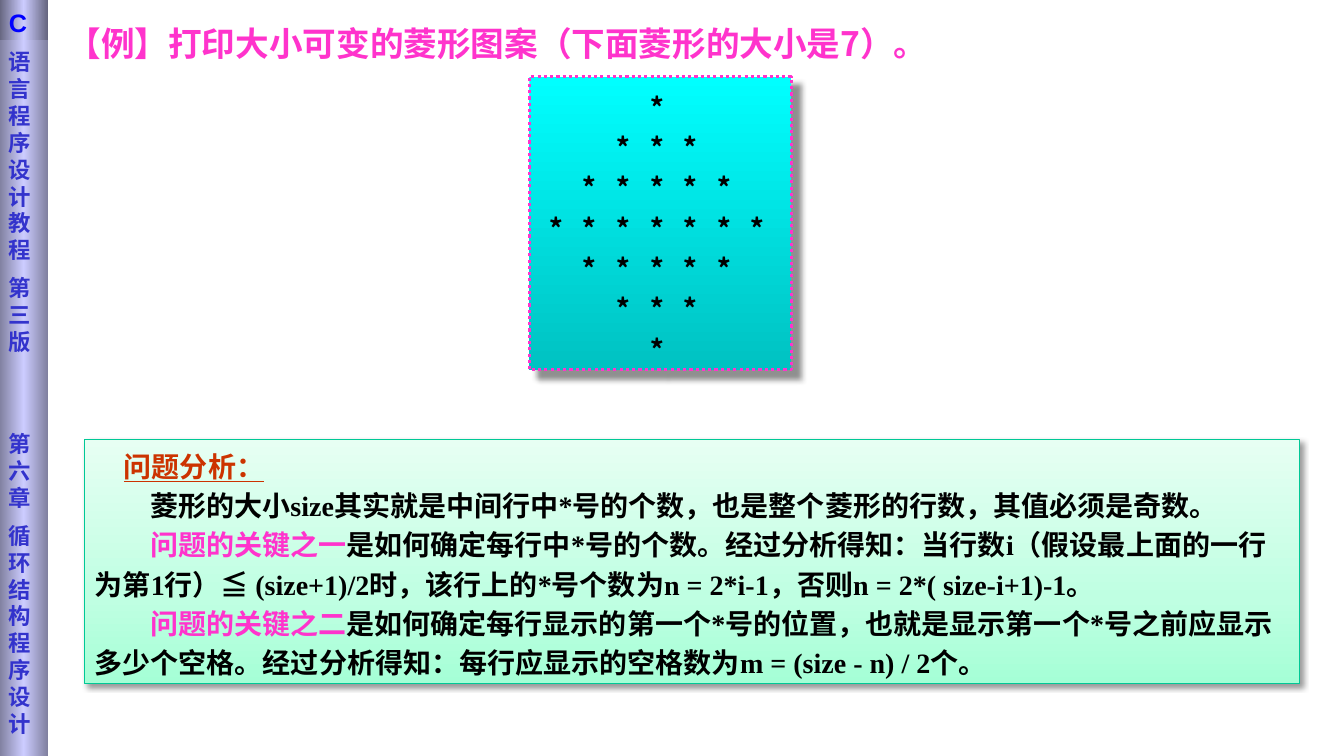
from dataclasses import dataclass

from lxml import etree
from pptx import Presentation
from pptx.dml.color import RGBColor
from pptx.enum.dml import MSO_LINE
from pptx.enum.shapes import MSO_SHAPE
from pptx.enum.text import MSO_ANCHOR, PP_ALIGN
from pptx.oxml.ns import qn
from pptx.util import Inches, Pt

RECTANGLE = MSO_SHAPE.RECTANGLE
DOTTED = MSO_LINE.ROUND_DOT
TOP, MIDDLE = MSO_ANCHOR.TOP, MSO_ANCHOR.MIDDLE
LEFT = PP_ALIGN.LEFT

CHINESE, SERIF, SANS = "Noto Sans CJK SC", "Times New Roman", "Arial"
BLACK, PINK, RUST = "000000", "FF33CC", "CC3300"
INDIGO, BLUE = "3333CC", "0000FF"
DIAMOND_SIZE = 7
STAR_POINTS = 24


@dataclass
class Shadow:
    opacity: int
    blur: float
    distance: float


@dataclass
class Panel:
    left: float
    top: float
    width: float
    height: float
    stops: list[tuple[int, str]]
    angle: int
    anchor: MSO_ANCHOR = TOP
    margin_top: float = 0.05
    shadow: Shadow | None = None
    line_color: str | None = None
    line_width: float = 0


@dataclass
class Span:
    text: str
    size: float
    color: str
    font: str = SERIF
    bold: bool = True
    underline: bool = False


@dataclass
class Line:
    spans: list[Span]
    spacing: float | None = None
    before: float = 0
    margin: float = 0
    indent: float = 0


def rgb(value: str) -> RGBColor:
    return RGBColor.from_string(value)


def add_color(parent, value: str):
    color = etree.SubElement(parent, qn("a:srgbClr"))
    color.set("val", value)
    return color


def set_gradient(shape, stops: list[tuple[int, str]], angle: int) -> None:
    gradient = etree.Element(qn("a:gradFill"))
    stop_list = etree.SubElement(gradient, qn("a:gsLst"))
    for position, value in stops:
        stop = etree.SubElement(stop_list, qn("a:gs"))
        stop.set("pos", str(position * 1000))
        add_color(stop, value)
    direction = etree.SubElement(gradient, qn("a:lin"))
    direction.set("ang", str(angle * 60000))
    direction.set("scaled", "0")
    shape._element.spPr.find(qn("a:prstGeom")).addnext(gradient)


def set_shadow(shape, shadow: Shadow) -> None:
    effects = shape._element.spPr.find(qn("a:effectLst"))
    outer = etree.SubElement(effects, qn("a:outerShdw"))
    outer.set("blurRad", str(Pt(shadow.blur)))
    outer.set("dist", str(Pt(shadow.distance)))
    outer.set("dir", str(45 * 60000))
    outer.set("algn", "tl")
    outer.set("rotWithShape", "0")
    alpha = etree.SubElement(add_color(outer, BLACK), qn("a:alpha"))
    alpha.set("val", str(shadow.opacity * 1000))


def add_panel(page, panel: Panel):
    shape = page.shapes.add_shape(
        RECTANGLE, Inches(panel.left), Inches(panel.top),
        Inches(panel.width), Inches(panel.height))
    shape.shadow.inherit = False
    set_gradient(shape, panel.stops, panel.angle)
    if panel.shadow:
        set_shadow(shape, panel.shadow)
    if panel.line_color:
        shape.line.color.rgb = rgb(panel.line_color)
        shape.line.width = Pt(panel.line_width)
    else:
        shape.line.fill.background()
    shape.text_frame.word_wrap = True
    shape.text_frame.vertical_anchor = panel.anchor
    shape.text_frame.margin_top = Inches(panel.margin_top)
    return shape


def write_lines(frame, lines: list[Line]) -> None:
    for number, line in enumerate(lines):
        para = frame.add_paragraph() if number else frame.paragraphs[0]
        para.alignment = LEFT
        para.space_before = Pt(line.before)
        if line.spacing:
            para.line_spacing = Pt(line.spacing)
        properties = para._p.get_or_add_pPr()
        properties.set("marL", str(Inches(line.margin)))
        properties.set("indent", str(Inches(line.indent)))
        for span in line.spans:
            run = para.add_run()
            run.text = span.text
            run.font.size = Pt(span.size)
            run.font.bold = span.bold
            run.font.underline = span.underline
            run.font.color.rgb = rgb(span.color)
            run.font.name = span.font
            east_asian = etree.SubElement(run.font._element, qn("a:ea"))
            east_asian.set("typeface", CHINESE)


def diamond_lines() -> list[Line]:
    middle = DIAMOND_SIZE // 2
    lines = []
    for row in range(DIAMOND_SIZE):
        blanks = abs(middle - row)
        stars = "﹡" * (DIAMOND_SIZE - 2 * blanks)
        lines.append(Line([Span(stars, STAR_POINTS, BLACK)], spacing=28.8,
                          margin=blanks * STAR_POINTS / 72))
    return lines


def analysis_line(*parts: tuple[str, str]) -> Line:
    return Line([Span(text, 20, color) for text, color in parts],
                spacing=28, indent=0.55)


def main() -> None:
    deck = Presentation()
    deck.slide_width, deck.slide_height = Inches(13.33), Inches(7.5)
    page = deck.slides.add_slide(deck.slide_layouts[5])

    # Title
    title = page.shapes.title
    title.left, title.top = Inches(0.5), Inches(0.18)
    title.width, title.height = Inches(9.06), Inches(0.5)
    title.text_frame.vertical_anchor = MIDDLE
    title.text_frame.margin_left = Inches(0.17)
    write_lines(title.text_frame, [Line([Span(
        "【例】打印大小可变的菱形图案（下面菱形的大小是7）。", 24, PINK, CHINESE)])])

    # Diamond pattern
    diamond = add_panel(page, Panel(
        5.25, 0.76, 2.6, 2.91, [(0, "00FFFF"), (100, "00C2C2")], 90,
        shadow=Shadow(43, 4, 8.5), line_color=PINK, line_width=2.25))
    diamond.line.dash_style = DOTTED
    write_lines(diamond.text_frame, diamond_lines())

    # Problem analysis
    analysis = add_panel(page, Panel(
        0.84, 4.36, 12.05, 2.42,
        [(0, "A5FFD6"), (35, "BFFFE2"), (100, "E7FFF3")], 270, anchor=MIDDLE,
        shadow=Shadow(40, 4, 3), line_color="00C896", line_width=0.75))
    write_lines(analysis.text_frame, [
        Line([Span("问题分析：", 20, RUST, underline=True)], spacing=28, indent=0.29),
        analysis_line(("菱形的大小size其实就是中间行中*号的个数，也是整个菱形的行数，其值必须是奇数。", BLACK)),
        analysis_line(
            ("问题的关键之一", PINK),
            ("是如何确定每行中*号的个数。经过分析得知：当行数i（假设最上面的一行为第1行）"
             "≦ (size+1)/2时，该行上的*号个数为n = 2*i-1，否则n = 2*( size-i+1)-1。", BLACK)),
        analysis_line(
            ("问题的关键之二", PINK),
            ("是如何确定每行显示的第一个*号的位置，也就是显示第一个*号之前应显示多少个空格。"
             "经过分析得知：每行应显示的空格数为m = (size - n) / 2个。", BLACK)),
    ])

    # Sidebar: the narrow strip wraps to one character a line
    sidebar = add_panel(page, Panel(
        -0.01, 0, 0.49, 7.5,
        [(0, "7F7F9E"), (50, "CCCCFF"), (100, "7F7F9E")], 0, margin_top=0.48))
    labels = [("语言程序设计教程", 0), ("第三版", 8), ("第六章", 53.7), ("循环结构程序设计", 8)]
    write_lines(sidebar.text_frame, [
        Line([Span(text, 16, INDIGO, "DejaVu Sans")], spacing=19.2, before=gap)
        for text, gap in labels])

    corner = add_panel(page, Panel(
        -0.01, 0, 0.49, 0.4,
        [(0, "63637C"), (50, "CCCCFF"), (100, "63637C")], 0, margin_top=0.07))
    write_lines(corner.text_frame, [Line([Span("C", 18, BLUE, SANS)])])

    deck.save("out.pptx")


if __name__ == "__main__":
    main()
